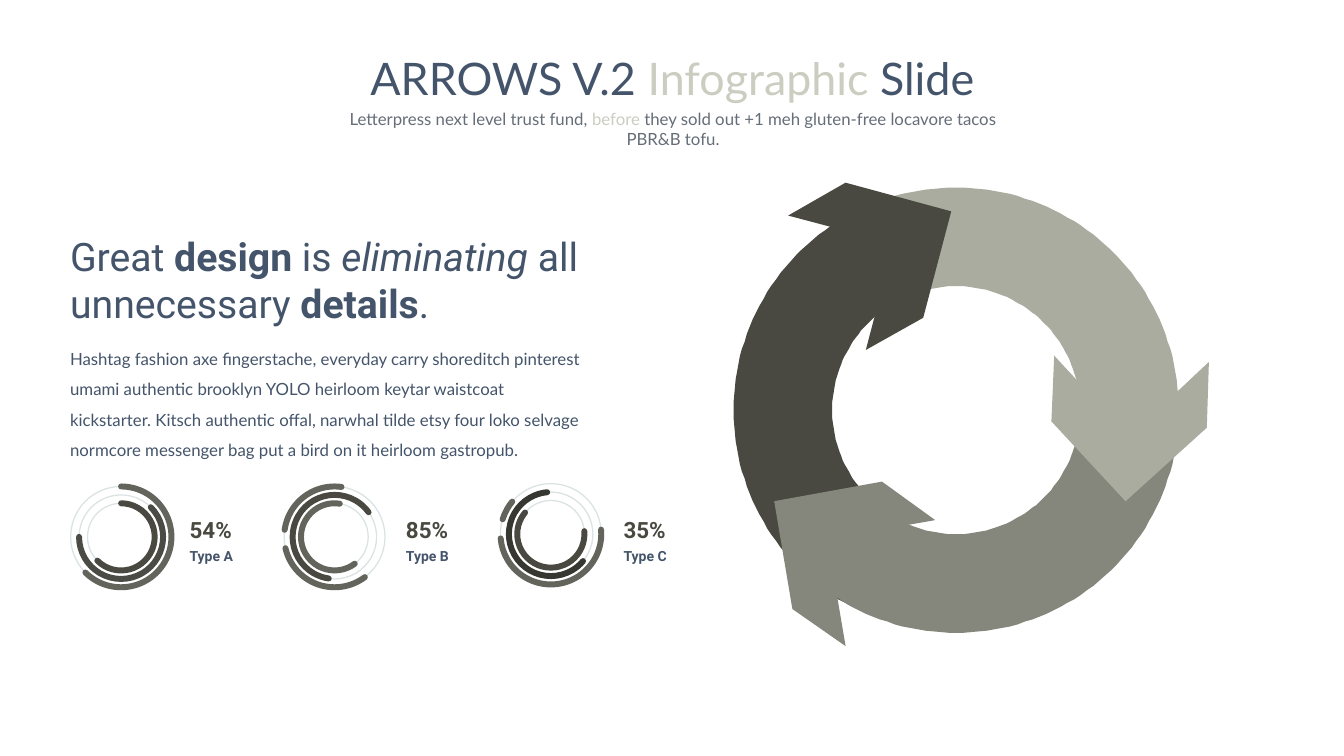
from math import cos, sin, radians
from lxml import etree
from pptx import Presentation
from pptx import util as u
from pptx.dml.color import RGBColor
from pptx.enum import shapes, text

PX = 6350  # 144 px to the inch
NAVY = RGBColor(0x44, 0x54, 0x6A)
GREY = RGBColor(0x65, 0x6D, 0x78)
PALE = RGBColor(0xCB, 0xCD, 0xC0)
RAIL = RGBColor(0xDA, 0xE2, 0xE2)
DARK = RGBColor(0x49, 0x49, 0x41)
MID = RGBColor(0x85, 0x87, 0x7C)
LIGHT = RGBColor(0xAA, 0xAC, 0x9F)
MOSS = RGBColor(0x63, 0x64, 0x5C)
COAL = RGBColor(0x37, 0x37, 0x31)
STONE = RGBColor(0x4A, 0x4B, 0x45)

deck = Presentation()
deck.slide_width, deck.slide_height = 1920 * PX, 1080 * PX
slide = deck.slides.add_slide(deck.slide_layouts[6])
items = slide.shapes


def write(area, runs, font, size, color, space=None, inset=True):
    """Add a one-paragraph text box; each run is (text, style or colour)."""
    box = items.add_textbox(*[n * PX for n in area])
    frame = box.text_frame
    frame.word_wrap = True
    if not inset:
        frame.margin_left = frame.margin_right = 0
        frame.margin_top = frame.margin_bottom = 0
    para = frame.paragraphs[0]
    para.font.name, para.font.size = font, u.Pt(size)
    para.font.color.rgb = color
    if space:
        para.line_spacing = space
    for words, look in runs:
        run = para.add_run()
        run.text = words
        if look == "bold":
            run.font.bold = True
        elif look == "italic":
            run.font.italic = True
        elif look:
            run.font.color.rgb = look
    return para


def outline(points, color):
    """Add a closed, filled outline."""
    pen = items.build_freeform(*points[0], scale=PX)
    pen.add_line_segments(points[1:], close=True)
    shape = pen.convert_to_shape()
    shape.shadow.inherit = False
    shape.fill.solid()
    shape.fill.fore_color.rgb = color
    shape.line.fill.background()


# Title and subtitle
title = write((366, 65, 1189, 92),
              [("ARROWS V.2 ", None), ("Infographic ", PALE), ("Slide", None)],
              "Lato", 32, NAVY)
lead = write((461, 148, 1001, 43),
             [("Letterpress next level trust fund, ", None), ("before", PALE),
              (" they sold out +1 meh gluten-free locavore tacos PBR&B tofu.", None)],
             "Lato", 12, GREY)
title.alignment = lead.alignment = text.PP_ALIGN.CENTER

# Ring of three bands: start angle, end angle, bulge of the start cap, colour
HUB_X, HUB_Y, OUTER, INNER = 1366, 586, 318, 177
MEAN, CAP = (OUTER + INNER) / 2, (OUTER - INNER) / 2
bands = [(120, 240, 1, DARK), (0, 120, 1, MID), (240, 360, -1, LIGHT)]
for start, end, bulge, color in bands:
    # Each step is (centre x, centre y, radius, angle)
    steps = [(HUB_X, HUB_Y, OUTER, a) for a in range(start, end + 1, 2)]
    for edge, first, turn in ((end, 0, 1), (start, 180, bulge)):
        cx = HUB_X + MEAN * cos(radians(edge))
        cy = HUB_Y + MEAN * sin(radians(edge))
        steps += [(cx, cy, CAP, edge + first + turn * a) for a in range(0, 181, 6)]
        if edge == end:
            steps += [(HUB_X, HUB_Y, INNER, a) for a in range(end, start - 1, -2)]
    outline([(x + r * cos(radians(a)), y + r * sin(radians(a)))
             for x, y, r, a in steps], color)

# Arrowheads
heads = [
    (DARK, [(1237, 500), (1277, 348), (1126, 308), (1208, 261), (1359, 302), (1319, 454)]),
    (LIGHT, [(1506, 508), (1613, 624), (1727, 517), (1724, 611), (1608, 716), (1502, 602)]),
    (MID, [(1336, 743), (1182, 770), (1208, 923), (1132, 870), (1106, 716), (1260, 688)]),
]
for color, points in heads:
    outline(points, color)

# Heading and body
write((86, 325, 786, 150),
      [("Great ", None), ("design", "bold"), (" is ", None), ("eliminating", "italic"),
       (" all unnecessary ", None), ("details", "bold"), (".", None)],
      "Roboto", 28, NAVY)
write((86, 477, 766, 189),
      [("Hashtag fashion axe fingerstache, everyday carry shoreditch pinterest "
        "umami authentic brooklyn YOLO heirloom keytar waistcoat kickstarter. "
        "Kitsch authentic offal, narwhal tilde etsy four loko selvage normcore "
        "messenger bag put a bird on it heirloom gastropub.", None)],
      "Lato", 12, NAVY, 1.5)

# Gauges: centre, label left, texts, arcs as (radius, start, end, colour)
RADII = BIG, MEDIUM, SMALL = 72, 60, 48
gauges = [
    (173, 767, 271, "54%", "Type A",
     [(BIG, 270, 135, MOSS), (MEDIUM, 315, 180, STONE), (SMALL, 270, 135, DARK)]),
    (478, 767, 580, "85%", "Type B",
     [(BIG, 188, 278, MOSS), (BIG, 53, 167, MOSS),
      (MEDIUM, 98, 324, DARK), (SMALL, 53, 279, MOSS)]),
    (787, 763, 891, "35%", "Type C",
     [(BIG, 197, 220, MOSS), (BIG, 355, 175, MOSS),
      (MEDIUM, 40, 265, COAL), (SMALL, 355, 220, DARK)]),
]
KIND = shapes.MSO_SHAPE
for x, y, left, share, name, arcs in gauges:
    rails = [(r, None, None, RAIL) for r in RADII]
    for r, start, end, color in rails + arcs:
        rail = start is None
        curve = items.add_shape(KIND.OVAL if rail else KIND.ARC,
                                (x - r) * PX, (y - r) * PX, 2 * r * PX, 2 * r * PX)
        curve.shadow.inherit = False
        curve.fill.background()
        curve.line.color.rgb = color
        curve.line.width = u.Pt(0.88 if rail else 4.25)
        if not rail:
            # Angles are stored in 60000ths, adjustments in 100000ths
            curve.adjustments[0], curve.adjustments[1] = start * 0.6, end * 0.6
            curve.line._get_or_add_ln().set("cap", "rnd")
    for top, high, words, size, color in ((742, 42, share, 16, DARK),
                                          (785, 33, name, 10, NAVY)):
        label = write((left, top, 71, high), [(words, None)],
                      "Roboto", size, color, 0.9, inset=False)
        label.font.bold = True

deck.save("out.pptx")
